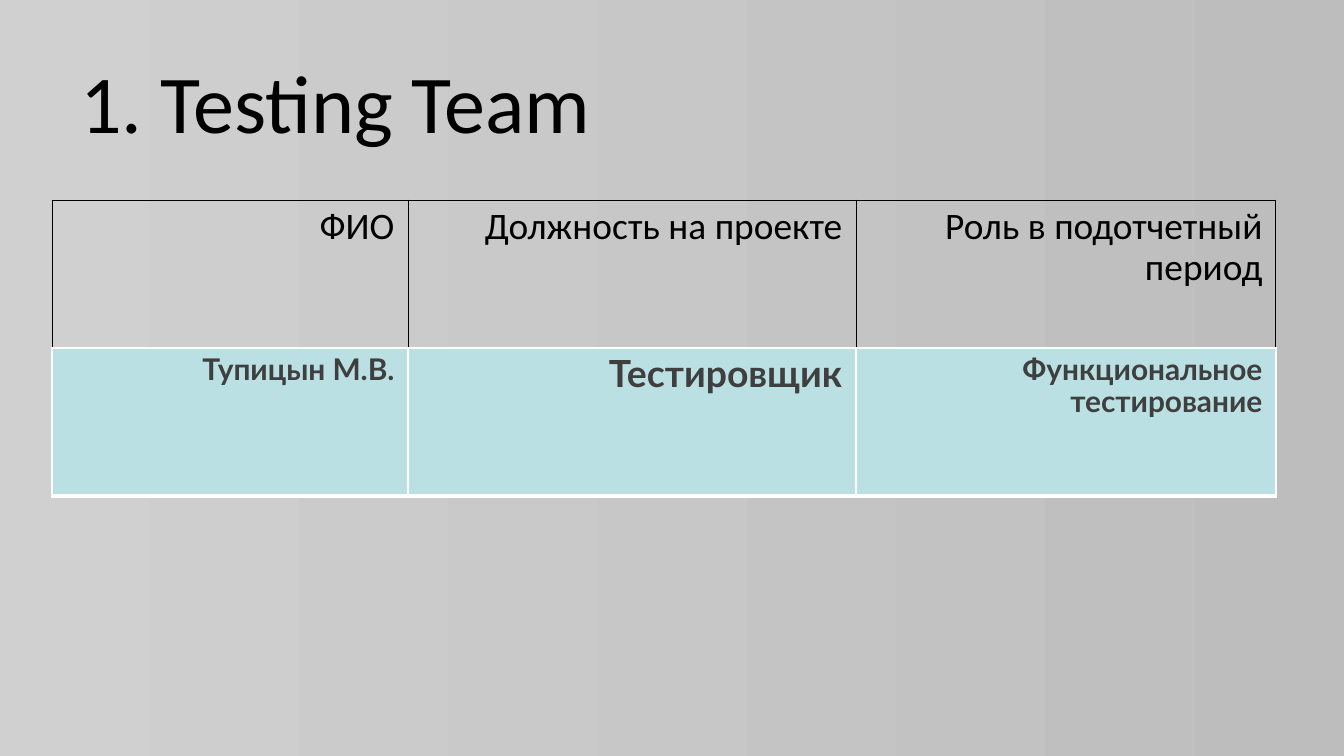
from lxml.etree import SubElement
from pptx import Presentation
from pptx.dml.color import RGBColor
from pptx.enum.text import MSO_ANCHOR, PP_ALIGN
from pptx.oxml.ns import qn
from pptx.util import Inches, Pt

TITLE = "1. Testing Team"
HEADERS = [("ФИО", 20), ("Должность на проекте", 20), ("Роль в подотчетный период", 20)]
MEMBER = [("Тупицын М.В.", 16), ("Тестировщик", 20), ("Функциональное тестирование", 16)]

# Borders are (colour, points) in the order left, right, top, bottom.
HEADER_STYLE = dict(font="Calibri", color="000000", bold=False, before=12, after=2,
                    indent=0, fill=None,
                    borders=[("000000", 0.5)] * 3 + [("FFFFFF", 1)])
MEMBER_STYLE = dict(font="Lato", color="3F3F3F", bold=True, before=2, after=4,
                    indent=1, fill="BBE0E3",
                    borders=[("FFFFFF", 1)] * 3 + [("FFFFFF", 3)])
ROWS = [(HEADERS, HEADER_STYLE), (MEMBER, MEMBER_STYLE)]

BACKGROUND = ["D0D0D0", "BDBDBD"]
SLIDE_SIZE = (1344, 756)
TITLE_BOX = (67, 31, 1210, 126)
TABLE_LEFT, TABLE_TOP = 52, 200
COLUMN_WIDTHS = [356, 448, 420]
ROW_HEIGHT = 148
EMU_PER_PX = Inches(10) / SLIDE_SIZE[0]


def px(length):
    return round(length * EMU_PER_PX)


def rgb(color):
    return RGBColor.from_string(color)


def add_run(paragraph, text, size, font, color, bold=False):
    run = paragraph.add_run()
    run.text = text
    run.font.size = Pt(size)
    run.font.name = font
    run.font.bold = bold
    run.font.color.rgb = rgb(color)


def set_borders(cell, borders):
    properties = cell._tc.get_or_add_tcPr()
    for side, (color, width) in zip("LRTB", borders):
        line = SubElement(properties, qn(f"a:ln{side}"), w=str(Pt(width)))
        fill = SubElement(line, qn("a:solidFill"))
        SubElement(fill, qn("a:srgbClr"), val=color)


def fill_cell(cell, text, size, style):
    set_borders(cell, style["borders"])
    if style["fill"]:
        cell.fill.solid()
        cell.fill.fore_color.rgb = rgb(style["fill"])
    else:
        cell.fill.background()
    paragraph = cell.text_frame.paragraphs[0]
    paragraph.alignment = PP_ALIGN.RIGHT
    paragraph.line_spacing = 0.9
    paragraph.space_before = Pt(style["before"])
    paragraph.space_after = Pt(style["after"])
    paragraph._p.get_or_add_pPr().set("marL", str(Inches(style["indent"])))
    add_run(paragraph, text, size, style["font"], style["color"], style["bold"])


def add_title(slide):
    text_frame = slide.shapes.add_textbox(*map(px, TITLE_BOX)).text_frame
    text_frame.word_wrap = True
    text_frame.vertical_anchor = MSO_ANCHOR.BOTTOM
    add_run(text_frame.paragraphs[0], TITLE, 44, "Calibri", "000000")


def add_team_table(slide):
    frame = slide.shapes.add_table(
        len(ROWS), len(COLUMN_WIDTHS), px(TABLE_LEFT), px(TABLE_TOP),
        px(sum(COLUMN_WIDTHS)), px(ROW_HEIGHT * len(ROWS)))
    table = frame.table
    table.first_row = table.horz_banding = False
    for column, width in zip(table.columns, COLUMN_WIDTHS):
        column.width = px(width)
    for row, (entries, style) in zip(table.rows, ROWS):
        row.height = px(ROW_HEIGHT)
        for cell, (text, size) in zip(row.cells, entries):
            fill_cell(cell, text, size, style)


def main():
    presentation = Presentation()
    presentation.slide_width, presentation.slide_height = map(px, SLIDE_SIZE)
    slide = presentation.slides.add_slide(presentation.slide_layouts[6])
    background = slide.background.fill
    background.gradient()
    background.gradient_angle = 0
    for stop, color in zip(background.gradient_stops, BACKGROUND):
        stop.color.rgb = rgb(color)
    add_title(slide)
    add_team_table(slide)
    presentation.save("out.pptx")


if __name__ == "__main__":
    main()
